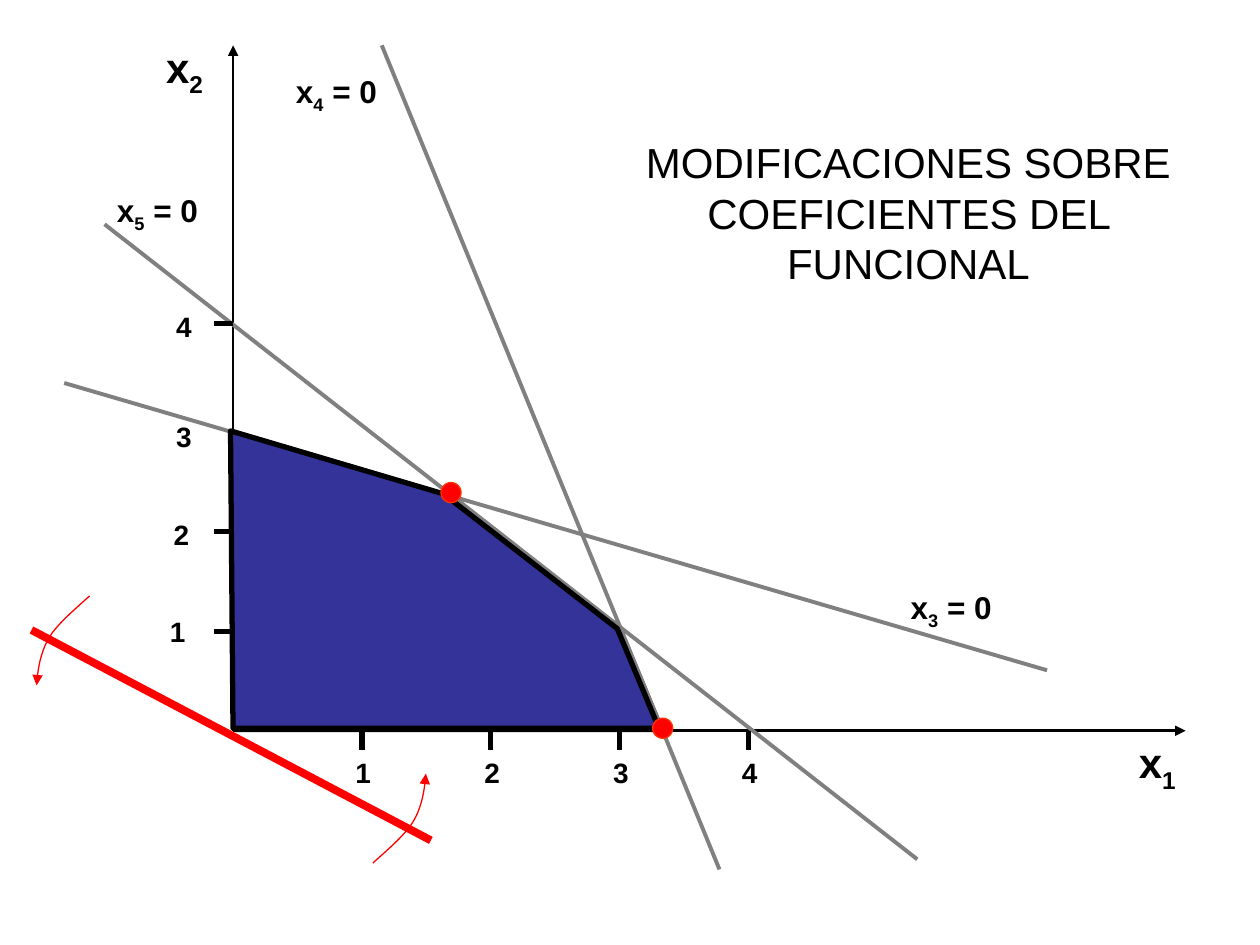
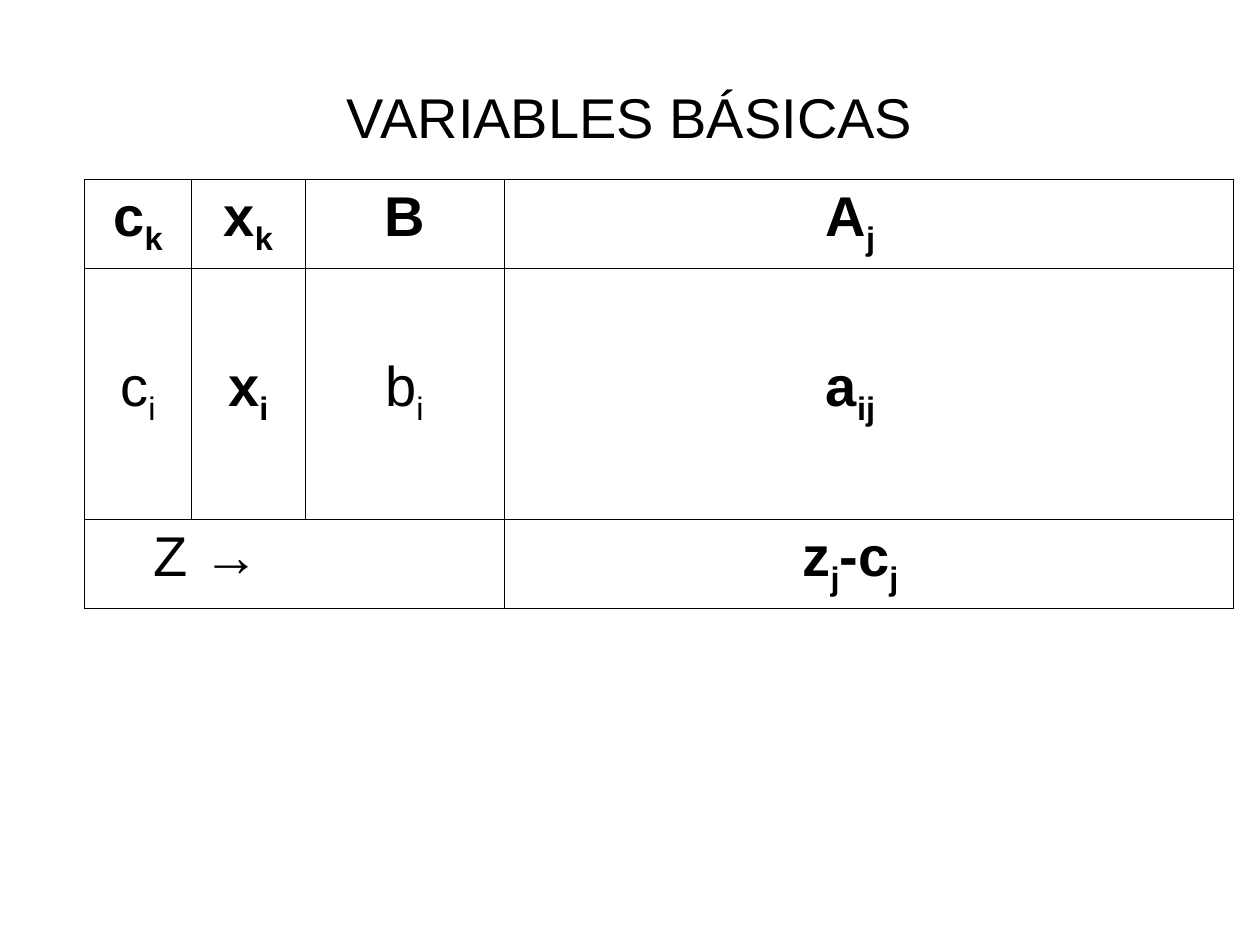
from lxml import etree
from pptx import Presentation
from pptx.dml.color import RGBColor
from pptx.enum import shapes, text
from pptx.oxml import ns
from pptx.util import Inches, Pt

BLACK = RGBColor(0x00, 0x00, 0x00)
WHITE = RGBColor(0xFF, 0xFF, 0xFF)
GRAY = RGBColor(0x80, 0x80, 0x80)
RED = RGBColor(0xFF, 0x00, 0x00)
ORANGE_RED = RGBColor(0xFF, 0x33, 0x00)
REGION_BLUE = RGBColor(0x33, 0x33, 0x99)
FONT = "Arial"

GRAPH_TITLE = "MODIFICACIONES SOBRE COEFICIENTES DEL FUNCIONAL"
TABLE_TITLE = "VARIABLES BÁSICAS"

ORIGIN = (1.85, 5.8)
AXIS_TIPS = [(1.85, 0.36), (9.41, 5.8)]
X_UNIT = (5.94 - ORIGIN[0]) / 4
X_TICKS = [1, 2, 3, 4]
Y_TICKS = [5.01, 4.22, 2.57]
TICK_LENGTH = 0.15
Y_LABELS = [("1", 1.25, 4.83), ("2", 1.28, 4.06), ("3", 1.3, 3.28), ("4", 1.3, 2.41)]
AXIS_LABELS = [(("x", "2"), 1.22, 0.28), (("x", "1"), 8.94, 5.8)]
CONSTRAINT_LABELS = [
    (("x", "3", " = 0"), 7.13, 4.62),
    (("x", "4", " = 0"), 2.25, 0.52),
    (("x", "5", " = 0"), 0.83, 1.47),
]
CONSTRAINTS = [
    ((0.83, 1.78), (7.28, 6.82)),
    ((0.51, 3.04), (8.31, 5.32)),
    ((5.71, 6.9), (3.03, 0.36)),
]
REGION = [(1.85, 5.78), (1.83, 3.42), (3.52, 3.92), (4.9, 4.99), (5.23, 5.78)]
REGION_SHIFT = (0.02, 0.01)
OBJECTIVE = ((0.25, 5), (3.42, 6.67))
VERTICES = [(3.5, 3.83), (5.18, 5.7)]
VERTEX_SIZE = 0.16
TURN_CURVES = [
    [(0.29, 5.44), (0.3, 5.31), (0.32, 5.18), (0.39, 5.06)],
    [(0.39, 5.06), (0.46, 4.94), (0.66, 4.78), (0.71, 4.73)],
]
TURN_MIRROR = (3.67, 11.58)
CURVE_STEPS = 10

COLUMN_WIDTHS = [0.85, 0.9, 1.58, 1.16, 1.06, 1.06, 1.22, 1.29]
ROW_HEIGHTS = [0.71, 0.64, 0.71, 0.64, 0.71]
TABLE_LEFT, TABLE_TOP = 0.67, 1.42
CELLS = {
    (0, 0): (("c", "k"), True),
    (0, 1): (("x", "k"), True),
    (0, 2): (("B",), True),
    (0, 5): (("A", "j"), True),
    (2, 0): (("c", "i"), False),
    (2, 1): (("x", "i"), True),
    (2, 2): (("b", "i"), False),
    (2, 5): (("a", "ij"), True),
    (4, 0): (("Z →",), False),
    (4, 5): (("z", "j", "-c", "j"), True),
}
COLUMN_RULES = {0, 1, 2, 3, 8}
ROW_RULES = {0, 1, 4, 5}
Z_INDENT = 0.55


def write_runs(paragraph, parts, size, bold=False):
    for index, part in enumerate(parts):
        run = paragraph.add_run()
        run.text = part
        run.font.name = FONT
        run.font.size = Pt(size)
        run.font.bold = bold
        run.font.color.rgb = BLACK
        if index % 2:
            run._r.get_or_add_rPr().set("baseline", "-25000")


def add_titled_slide(presentation, title, size, left, top, width, height):
    slide = presentation.slides.add_slide(presentation.slide_layouts[5])
    shape = slide.shapes.title
    shape.left, shape.top = Inches(left), Inches(top)
    shape.width, shape.height = Inches(width), Inches(height)
    frame = shape.text_frame
    frame.word_wrap = True
    frame.auto_size = text.MSO_AUTO_SIZE.NONE
    frame.vertical_anchor = text.MSO_ANCHOR.MIDDLE
    frame.paragraphs[0].alignment = text.PP_ALIGN.CENTER
    write_runs(frame.paragraphs[0], (title,), size)
    return slide


def add_label(slide, parts, size, left, top, width, height):
    box = slide.shapes.add_textbox(Inches(left), Inches(top), Inches(width), Inches(height))
    box.text_frame.word_wrap = False
    write_runs(box.text_frame.paragraphs[0], parts, size, True)


def add_arrowhead(shape, end):
    etree.SubElement(shape.line._get_or_add_ln(), ns.qn(f"a:{end}"), type="triangle")


def add_line(slide, start, end, color, width):
    line = slide.shapes.add_connector(
        shapes.MSO_CONNECTOR.STRAIGHT, *(Inches(value) for value in start + end))
    line.line.color.rgb = color
    line.line.width = Pt(width)
    etree.SubElement(line._element.spPr, ns.qn("a:effectLst"))
    return line


def add_outline(slide, points, line_color, width, close, fill=None):
    emu_points = [(Inches(x), Inches(y)) for x, y in points]
    builder = slide.shapes.build_freeform(*emu_points[0])
    builder.add_line_segments(emu_points[1:], close=close)
    shape = builder.convert_to_shape()
    style_shape(shape, line_color, width, fill)
    return shape


def style_shape(shape, line_color, width, fill=None):
    shape.shadow.inherit = False
    if fill is None:
        shape.fill.background()
    else:
        shape.fill.solid()
        shape.fill.fore_color.rgb = fill
    shape.line.color.rgb = line_color
    shape.line.width = Pt(width)


def curve_points(curves):
    points = [curves[0][0]]
    for curve in curves:
        for step in range(1, CURVE_STEPS + 1):
            t = step / CURVE_STEPS
            weights = ((1 - t) ** 3, 3 * t * (1 - t) ** 2, 3 * t * t * (1 - t), t ** 3)
            points.append(tuple(
                sum(weight * point[axis] for weight, point in zip(weights, curve))
                for axis in (0, 1)))
    return points


def build_graph(presentation):
    slide = add_titled_slide(presentation, GRAPH_TITLE, 24, 5, 0.75, 4.42, 1.87)
    for tip in AXIS_TIPS:
        add_arrowhead(add_line(slide, ORIGIN, tip, BLACK, 1.5), "tailEnd")

    shift_x, shift_y = REGION_SHIFT
    shifted_region = [(x + shift_x, y + shift_y) for x, y in REGION]
    add_outline(slide, shifted_region, BLACK, 3, True, REGION_BLUE)
    for start, end in CONSTRAINTS:
        add_line(slide, start, end, GRAY, 2.25)
    add_outline(slide, REGION, BLACK, 3, True, REGION_BLUE)

    axis_x, axis_y = ORIGIN
    for number in X_TICKS:
        x = axis_x + number * X_UNIT
        add_line(slide, (x, axis_y + TICK_LENGTH), (x, axis_y), BLACK, 3)
        add_label(slide, (str(number),), 16, x - 0.15, axis_y + TICK_LENGTH, 0.32, 0.37)
    for y in Y_TICKS:
        add_line(slide, (axis_x - TICK_LENGTH, y), (axis_x, y), BLACK, 3)
    for number, left, top in Y_LABELS:
        add_label(slide, (number,), 16, left, top, 0.32, 0.37)
    for parts, left, top in AXIS_LABELS:
        add_label(slide, parts, 24, left, top, 0.63, 0.56)
    for parts, left, top in CONSTRAINT_LABELS:
        add_label(slide, parts, 18, left, top, 0.84, 0.44)

    add_line(slide, *OBJECTIVE, RED, 4.5)
    turn = curve_points(TURN_CURVES)
    mirrored_turn = [(TURN_MIRROR[0] - x, TURN_MIRROR[1] - y) for x, y in turn]
    for points in (turn, mirrored_turn):
        add_arrowhead(add_outline(slide, points, RED, 0.75, False), "headEnd")
    for left, top in VERTICES:
        vertex = slide.shapes.add_shape(
            shapes.MSO_SHAPE.OVAL, Inches(left), Inches(top),
            Inches(VERTEX_SIZE), Inches(VERTEX_SIZE))
        style_shape(vertex, ORANGE_RED, 0.75, RED)


def set_borders(cell, visible_sides):
    properties = cell._tc.get_or_add_tcPr()
    for index, side in enumerate("LRTB"):
        border = etree.Element(ns.qn(f"a:ln{side}"), w=str(Pt(0.45)))
        if side in visible_sides:
            fill = etree.SubElement(border, ns.qn("a:solidFill"))
            etree.SubElement(fill, ns.qn("a:srgbClr"), val=str(BLACK))
        else:
            etree.SubElement(border, ns.qn("a:noFill"))
        properties.insert(index, border)


def build_table(presentation):
    slide = add_titled_slide(presentation, TABLE_TITLE, 32, 0.5, 0.3, 9, 1.25)
    table = slide.shapes.add_table(
        len(ROW_HEIGHTS), len(COLUMN_WIDTHS), Inches(TABLE_LEFT), Inches(TABLE_TOP),
        Inches(sum(COLUMN_WIDTHS)), Inches(sum(ROW_HEIGHTS))).table
    table.first_row = table.horz_banding = False
    for column, width in zip(table.columns, COLUMN_WIDTHS):
        column.width = Inches(width)
    for row, height in zip(table.rows, ROW_HEIGHTS):
        row.height = Inches(height)
    table.cell(4, 0).merge(table.cell(4, 2))

    for row in range(len(ROW_HEIGHTS)):
        for column in range(len(COLUMN_WIDTHS)):
            cell = table.cell(row, column)
            if cell.is_spanned:
                continue
            edges = {
                "L": column in COLUMN_RULES,
                "R": column + cell.span_width in COLUMN_RULES,
                "T": row in ROW_RULES,
                "B": row + 1 in ROW_RULES,
            }
            set_borders(cell, [side for side, visible in edges.items() if visible])
            cell.fill.solid()
            cell.fill.fore_color.rgb = WHITE
            if (row, column) in CELLS:
                parts, bold = CELLS[row, column]
                paragraph = cell.text_frame.paragraphs[0]
                paragraph.alignment = text.PP_ALIGN.CENTER
                write_runs(paragraph, parts, 32, bold)

    z_cell = table.cell(4, 0)
    z_cell.margin_left = Inches(Z_INDENT)
    z_cell.text_frame.paragraphs[0].alignment = text.PP_ALIGN.LEFT


def main():
    presentation = Presentation()
    presentation.slide_width, presentation.slide_height = Inches(10), Inches(7.5)
    build_graph(presentation)
    build_table(presentation)
    presentation.save("out.pptx")


if __name__ == "__main__":
    main()
